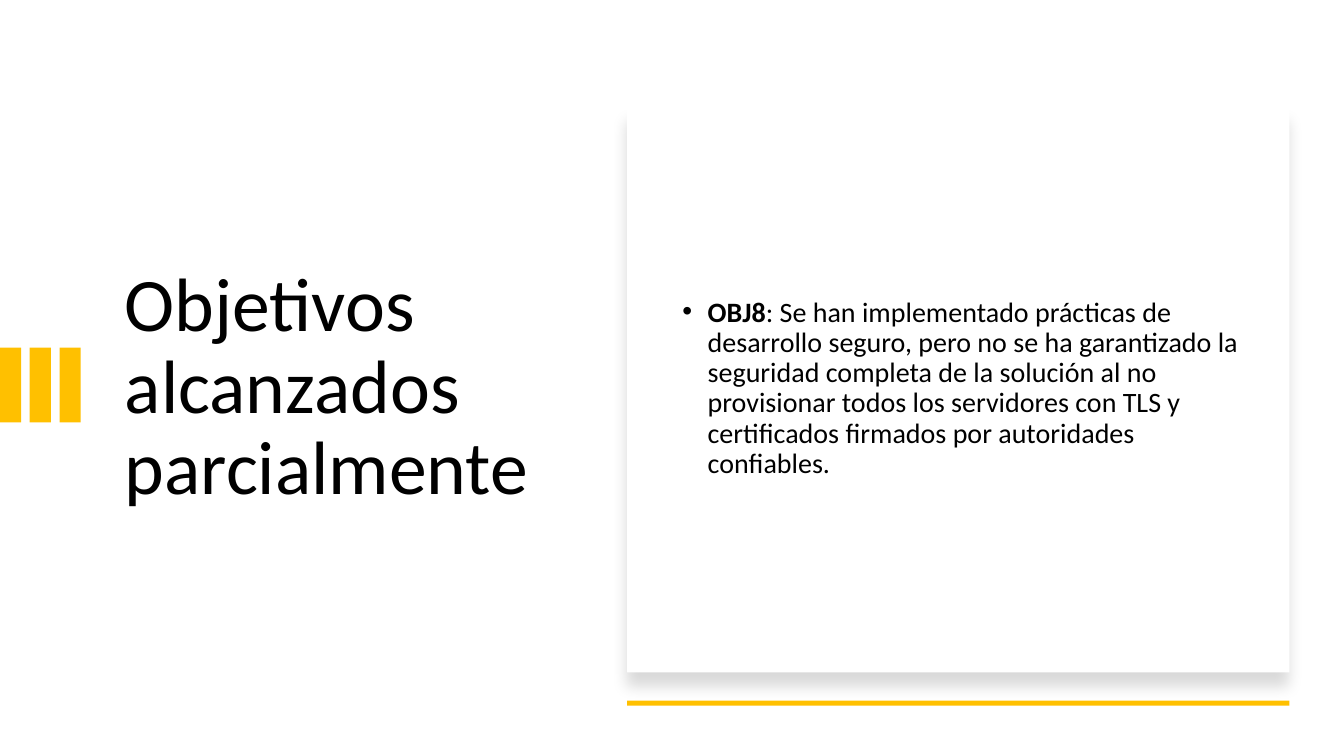
from lxml import etree
from pptx import Presentation
from pptx.dml.color import RGBColor
from pptx.enum.shapes import MSO_SHAPE
from pptx.enum.text import MSO_ANCHOR
from pptx.oxml import parse_xml
from pptx.oxml.ns import nsdecls, qn
from pptx.util import Inches, Pt

COLORS = {"accent": "FFC000", "panel": "FFFFFF", "text": "000000", "shadow": "000000"}

deck = Presentation()
deck.slide_width = Inches(13.33)
deck.slide_height = Inches(7.5)
page = deck.slides.add_slide(deck.slide_layouts[6])


def add_text(text, left, top, width, height, size, lead="", bullet=False, before=0):
    box = page.shapes.add_textbox(Inches(left), Inches(top), Inches(width), Inches(height))
    frame = box.text_frame
    frame.word_wrap = True
    frame.vertical_anchor = MSO_ANCHOR.MIDDLE
    para = frame.paragraphs[0]
    para.line_spacing = 0.9
    para.space_before = Pt(before)
    if bullet:
        properties = para._p.get_or_add_pPr()
        properties.set("marL", str(Inches(0.25)))
        properties.set("indent", str(-Inches(0.25)))
        font = etree.SubElement(properties, qn("a:buFont"))
        font.set("typeface", "Arial")
        etree.SubElement(properties, qn("a:buChar")).set("char", "•")
    if lead:
        para.add_run().text = lead
    for number, line in enumerate(text.split("\n")):
        if number:
            para.add_line_break()
        para.add_run().text = line
    for number, span in enumerate(para.runs):
        span.font.name = "Calibri"
        span.font.size = Pt(size)
        span.font.bold = bool(lead) and number == 0
        span.font.color.rgb = RGBColor.from_string(COLORS["text"])


def add_block(left, top, width, height, color):
    block = page.shapes.add_shape(
        MSO_SHAPE.RECTANGLE, Inches(left), Inches(top), Inches(width), Inches(height))
    block.shadow.inherit = False
    block.fill.solid()
    block.fill.fore_color.rgb = RGBColor.from_string(COLORS[color])
    block.line.fill.background()
    return block


add_text("Objetivos alcanzados\nparcialmente", 1.14, 1.5, 4.26, 4.71, size=54)

for column in range(3):
    add_block(column * 0.295, 3.45, 0.21, 0.74, "accent")

panel = add_block(6.22, 1.07, 6.57, 5.6, "panel")
panel_effects = panel._element.spPr.find(qn("a:effectLst"))
panel_effects.append(parse_xml(
    f'<a:outerShdw {nsdecls("a")} blurRad="{Pt(11)}" dist="{Pt(10)}" dir="5400000" '
    f'algn="t" rotWithShape="0"><a:srgbClr val="{COLORS["shadow"]}">'
    '<a:alpha val="15000"/></a:srgbClr></a:outerShdw>'))

add_text(
    ": Se han implementado prácticas de desarrollo seguro, pero no se ha garantizado "
    "la seguridad completa de la solución al no provisionar todos los servidores con "
    "TLS y certificados firmados por autoridades confiables.",
    6.67, 1.5, 5.71, 4.71, size=20, lead="OBJ8", bullet=True, before=10)

add_block(6.22, 6.95, 6.57, 0.05, "accent")

deck.save("out.pptx")
